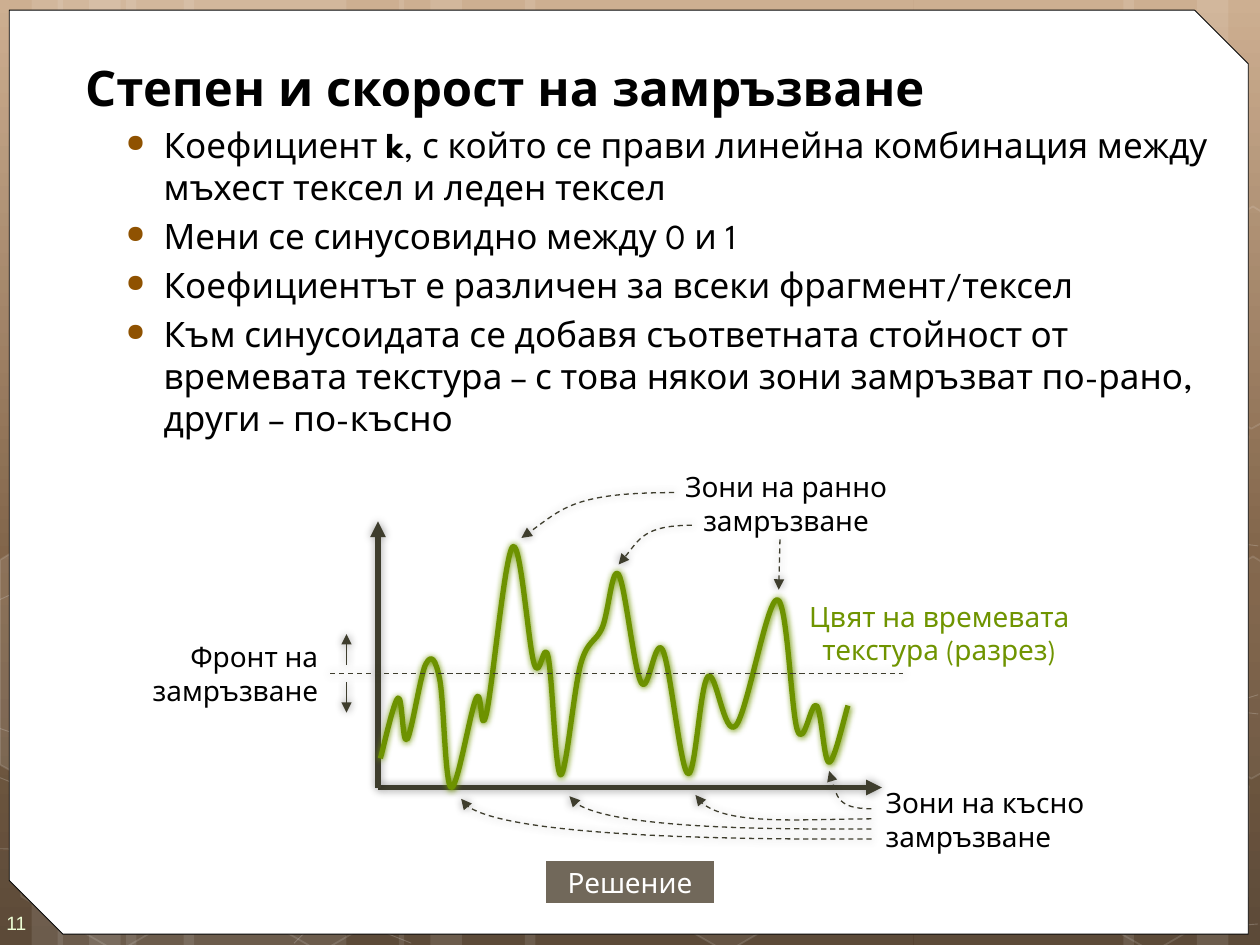
import copy
import pptx
import pptx.dml.color
import pptx.enum.dml
import pptx.enum.shapes
import pptx.enum.text
import pptx.oxml.ns
import pptx.util
from lxml import etree

Pt = pptx.util.Pt
qn = pptx.oxml.ns.qn
SHAPE = pptx.enum.shapes.MSO_SHAPE
ALIGN = pptx.enum.text.PP_ALIGN
ANCHOR = pptx.enum.text.MSO_ANCHOR
FONT, DARK, GREEN, WHITE, BLACK = "League Spartan", "3E3D2D", "6D9200", "FFFFFF", "000000"
WIDTH, HEIGHT = 720, 540

TITLE = "Степен и скорост на замръзване"
BULLETS = [
    [("Коефициент ", False), ("k", True),
     (", с който се прави линейна комбинация между мъхест тексел и леден тексел", False)],
    [("Мени се синусовидно между 0 и 1", False)],
    [("Коефициентът е различен за всеки фрагмент/тексел", False)],
    [("Към синусоидата се добавя съответната стойност от времевата текстура – "
      "с това някои зони замръзват по-рано, други – по-късно", False)],
]
LABELS = [
    ("Фронт на замръзване", 57.5, 362, 131.5, ALIGN.RIGHT, BLACK),
    ("Зони на ранно замръзване", 362.5, 265, 173.5, ALIGN.CENTER, BLACK),
    ("Зони на късно замръзване", 499, 445.5, 173.5, ALIGN.LEFT, BLACK),
    ("Цвят на времевата текстура (разрез)", 450, 338.8, 173.5, ALIGN.CENTER, "6F9400"),
]

BACKGROUND_STOPS = [(0, "C8A685"), (0.62, "705032"), (1, "4A3622")]
STRIPES = [(72, 126), (0, 36), (18, 60), (105, 126), (33, 36), (51, 60), (522, 126),
           (684, 36), (642, 60), (300, 222), (228, 36), (246, 60)]
SWEEP_KNOTS = [
    [(-1, 485), (131, 488), (324, 479), (564, 444), (719, 397)],
    [(-1, 343), (81, 310), (244, 279), (465, 279), (719, 312)],
    [(-1, 444), (235, 539)],
    [(-1, 416), (86, 444), (251, 485), (446, 517), (608, 530), (675, 531), (719, 528)],
    [(168, 539), (212, 498), (273, 460), (332, 438), (432, 416), (566, 405), (680, 405), (719, 408)],
]
HEXAGON_WIDTH, HEXAGON_HEIGHT = 126, 109.5
HEXAGON_CELLS = [
    (4, 2, 10, 12), (5, 3, 0, 12), (5, 1, 7, 8), (4, 0, 4, 8), (6, 4, 6, 12), (0, 4, 0, 12),
    (0, 2, 7, 8), (1, 3, 0, 12), (2, 4, 0, 12), (2, 2, 7, 8), (1, 1, 0, 12),
    (9.2, 3, 10, 12), (10.2, 4, 0, 12), (10.2, 2, 7, 8),
]
HEXAGON_PITCH_X, HEXAGON_PITCH_Y = 58, 100
CUT_HEXAGON = [(0, 320), (8, 315), (63, 347), (63, 410), (9, 442), (0, 437)]

ORIGIN_X, ORIGIN_Y = 216, 450
AXIS_RIGHT, AXIS_TOP = 504, 298
FRONT_Y, FRONT_LEFT, FRONT_RIGHT = 384.8, 188.6, 516.2
FRONT_ARROW_X, FRONT_ARROW_GAP, FRONT_ARROW_LENGTH = 198, 5, 17.5
WAVE_KNOTS = [
    (217.4, 433.4), (227.5, 398.9), (232.6, 422.6), (243.4, 379.4), (251.3, 388.1),
    (257.8, 450), (272.2, 398.9), (277.9, 408.2), (293, 312.5), (305.3, 379.4),
    (313.2, 375.1), (320.4, 442.8), (331.9, 379.4), (344.2, 358.6), (353.5, 328.3),
    (366.5, 390.2), (378.7, 371.5), (393.1, 442.1), (404.6, 386.6), (420.5, 414.7),
    (444.2, 342.7), (455.8, 417.6), (466.6, 403.2), (473.8, 435.6), (484.6, 403.2),
]
EARLY_POINTERS = [((385.2, 281.5), (298, 307.4)), ((395.3, 300.2), (353.5, 322.6))]
PEAK_POINTER = (445.7, 308.2, 445, 337)
LATE_START_X, LATE_START_Y, LATE_PITCH = 498, 462.2, 5.75
LATE_TIPS = [((473.8, 440.6), -10), ((397.4, 454.3), 5), ((325.4, 455), 1.5), ((263.5, 456.5), 1.5)]


def rgb(color):
    return pptx.dml.color.RGBColor.from_string(color)


def set_alpha(parent, percent):
    color = parent.find(".//" + qn("a:srgbClr"))
    etree.SubElement(color, qn("a:alpha"), val=str(percent * 1000))


def paint(shape, fill=None, alpha=100):
    shape.shadow.inherit = False
    if not fill or not alpha:
        shape.fill.background()
        return
    shape.fill.solid()
    shape.fill.fore_color.rgb = rgb(fill)
    set_alpha(shape.element.spPr.find(qn("a:solidFill")), alpha)


def stroke(shape, color, width, alpha=100, dashed=False, arrow=False):
    shape.line.color.rgb = rgb(color)
    shape.line.width = Pt(width)
    if dashed:
        shape.line.dash_style = pptx.enum.dml.MSO_LINE.DASH
    line = shape.element.spPr.find(qn("a:ln"))
    set_alpha(line, alpha)
    if arrow:
        etree.SubElement(line, qn("a:tailEnd"), type="triangle")


def glow(shape, color=BLACK, alpha=40, blur=5):
    properties = shape.element.spPr
    effects = properties.find(qn("a:effectLst"))
    if effects is None:
        effects = etree.SubElement(properties, qn("a:effectLst"))
    shadow = etree.SubElement(effects, qn("a:outerShdw"), blurRad=str(Pt(blur)), dist="0", dir="0")
    etree.SubElement(shadow, qn("a:srgbClr"), val=color)
    set_alpha(shadow, alpha)


def smooth(knots):
    padded = [knots[0], *knots, knots[-1]]
    points = [knots[0]]
    for before, start, end, after in zip(padded, padded[1:], padded[2:], padded[3:]):
        leaving = tuple(s + (e - b) / 6 for b, s, e in zip(before, start, end))
        arriving = tuple(e - (a - s) / 6 for s, e, a in zip(start, end, after))
        points += [leaving, arriving, end]
    return points


def bend(start, tip, leaving, arriving, sag):
    return [start, (start[0] - leaving, start[1]), (tip[0] + arriving, start[1] + sag), tip]


def add_shape(kind, left, top, width, height, fill, alpha=100):
    shape = slide.shapes.add_shape(kind, Pt(left), Pt(top), Pt(width), Pt(height))
    paint(shape, fill, alpha)
    shape.line.fill.background()
    return shape


def add_outline(points, closed=False):
    start, *rest = [(Pt(x), Pt(y)) for x, y in points]
    builder = slide.shapes.build_freeform(*start)
    builder.add_line_segments(rest, close=closed)
    shape = builder.convert_to_shape()
    paint(shape)
    return shape


def add_curve(points):
    shape = add_outline(points)
    outline = shape.element.find(".//" + qn("a:path"))
    segments = outline.findall(qn("a:lnTo"))
    for first in range(0, len(segments), 3):
        curve = etree.SubElement(outline, qn("a:cubicBezTo"))
        for segment in segments[first:first + 3]:
            curve.append(segment[0])
            outline.remove(segment)
    return shape


def add_pointer(points):
    pointer = add_curve(points)
    stroke(pointer, DARK, 0.75, dashed=True, arrow=True)
    glow(pointer)


def add_line(ends, width, **style):
    connector = slide.shapes.add_connector(
        pptx.enum.shapes.MSO_CONNECTOR.STRAIGHT, *[Pt(value) for value in ends])
    stroke(connector, DARK, width, **style)
    glow(connector)


def add_text_box(left, top, width, height):
    box = slide.shapes.add_textbox(Pt(left), Pt(top), Pt(width), Pt(height))
    box.text_frame.word_wrap = True
    return box.text_frame


def add_run(paragraph, text, size, color=BLACK, bold=False, font=FONT):
    run = paragraph.add_run()
    run.text = text
    run.font.name, run.font.size, run.font.bold = font, Pt(size), bold
    run.font.color.rgb = rgb(color)


def draw_background():
    fill = slide.background.fill
    fill.gradient()
    fill.gradient_angle = 270
    stop_list = slide.element.find(".//" + qn("a:gsLst"))
    stop_list.append(copy.deepcopy(stop_list[0]))
    for stop, (position, color) in zip(fill.gradient_stops, BACKGROUND_STOPS):
        stop.position, stop.color.rgb = position, rgb(color)
    for left, width in STRIPES:
        add_shape(SHAPE.RECTANGLE, left, 0, width, HEIGHT, WHITE, 10)
    for knots in SWEEP_KNOTS:
        stroke(add_curve(smooth(knots)), WHITE, 0.5, 20)
    for column, row, fill_alpha, line_alpha in HEXAGON_CELLS:
        left, top = 4 + HEXAGON_PITCH_X * column, 26 + HEXAGON_PITCH_Y * row
        hexagon = add_shape(SHAPE.HEXAGON, left, top, HEXAGON_WIDTH, HEXAGON_HEIGHT, WHITE, fill_alpha)
        hexagon.adjustments[0], hexagon.rotation = 0.285, 30
        stroke(hexagon, WHITE, 1, line_alpha)
    lower_right = [(WIDTH + 4 - x, y + 3) for x, y in CUT_HEXAGON]
    upper_right = [(x, y - 2 * HEXAGON_PITCH_Y) for x, y in lower_right]
    for points, alpha in [(CUT_HEXAGON, 10), (lower_right, 4), (upper_right, 0)]:
        hexagon = add_outline(points, closed=True)
        paint(hexagon, WHITE, alpha)
        stroke(hexagon, WHITE, 1, 12)
    panel = add_shape(SHAPE.SNIP_2_DIAG_RECTANGLE, 5.3, 5.8, 708, 528, WHITE)
    panel.adjustments[0], panel.adjustments[1] = 0, 0.058
    stroke(panel, BLACK, 0.5)


def write_text():
    number = add_text_box(0, 511, 42, 29)
    number.margin_left, number.margin_top, number.margin_bottom = Pt(3.6), Pt(10.8), Pt(7.2)
    number.vertical_anchor = ANCHOR.MIDDLE
    add_run(number.paragraphs[0], "11", 11, "EEFFD6", font="Arial")

    title = slide.shapes.title
    title.element.getparent().append(title.element)
    title.left, title.top, title.width, title.height = Pt(41.5), Pt(29.5), Pt(673), Pt(40)
    title.text_frame.vertical_anchor = ANCHOR.TOP
    title.text_frame.auto_size = pptx.enum.text.MSO_AUTO_SIZE.NONE
    title.text_frame.paragraphs[0].alignment = ALIGN.LEFT
    add_run(title.text_frame.paragraphs[0], TITLE, 28, bold=True)

    body = add_text_box(36, 67, 678, 190)
    for index, runs in enumerate(BULLETS):
        paragraph = body.add_paragraph() if index else body.paragraphs[0]
        properties = paragraph._p.get_or_add_pPr()
        properties.set("marL", str(Pt(50.4)))
        properties.set("indent", str(Pt(-21.6)))
        bullet_color = etree.SubElement(properties, qn("a:buClr"))
        etree.SubElement(bullet_color, qn("a:srgbClr"), val="8F5201")
        etree.SubElement(properties, qn("a:buSzPct"), val="70000")
        etree.SubElement(properties, qn("a:buChar"), char="●")
        paragraph.space_before = Pt(4 if index else 0)
        for text, bold in runs:
            add_run(paragraph, text, 20, bold=bold)

    button = add_shape(SHAPE.RECTANGLE, 312, 492, 96, 24, "71685A").text_frame
    button.margin_left = button.margin_right = 0
    button.vertical_anchor = ANCHOR.MIDDLE
    button.paragraphs[0].alignment = ALIGN.CENTER
    add_run(button.paragraphs[0], "Решение", 16, WHITE)


def draw_diagram():
    for end in [(AXIS_RIGHT, ORIGIN_Y), (ORIGIN_X, AXIS_TOP)]:
        add_line((ORIGIN_X, ORIGIN_Y, *end), 3, arrow=True)
    wave = add_curve(smooth(WAVE_KNOTS))
    stroke(wave, GREEN, 3)
    glow(wave, "6F9400", 100, 4)

    add_line((FRONT_LEFT, FRONT_Y, FRONT_RIGHT, FRONT_Y), 0.75, dashed=True)
    for direction in (-1, 1):
        near = FRONT_Y + direction * FRONT_ARROW_GAP
        far = near + direction * FRONT_ARROW_LENGTH
        add_line((FRONT_ARROW_X, near, FRONT_ARROW_X, far), 1, arrow=True)

    for start, tip in EARLY_POINTERS:
        span = start[0] - tip[0]
        add_pointer(bend(start, tip, 0.65 * span, 0.26 * span, 10))
    add_line(PEAK_POINTER, 0.75, dashed=True, arrow=True)
    for index, (tip, sag) in enumerate(LATE_TIPS):
        start = (LATE_START_X, LATE_START_Y + LATE_PITCH * index)
        span = start[0] - tip[0]
        add_pointer(bend(start, tip, min(38, 0.8 * span), min(10, 0.15 * span), sag))

    for text, left, top, width, alignment, color in LABELS:
        label = add_text_box(left, top, width, 46).paragraphs[0]
        label.alignment = alignment
        add_run(label, text, 16, color)


presentation = pptx.Presentation()
presentation.slide_width, presentation.slide_height = Pt(WIDTH), Pt(HEIGHT)
slide = presentation.slides.add_slide(presentation.slide_layouts[5])
draw_background()
write_text()
draw_diagram()
presentation.save("out.pptx")
